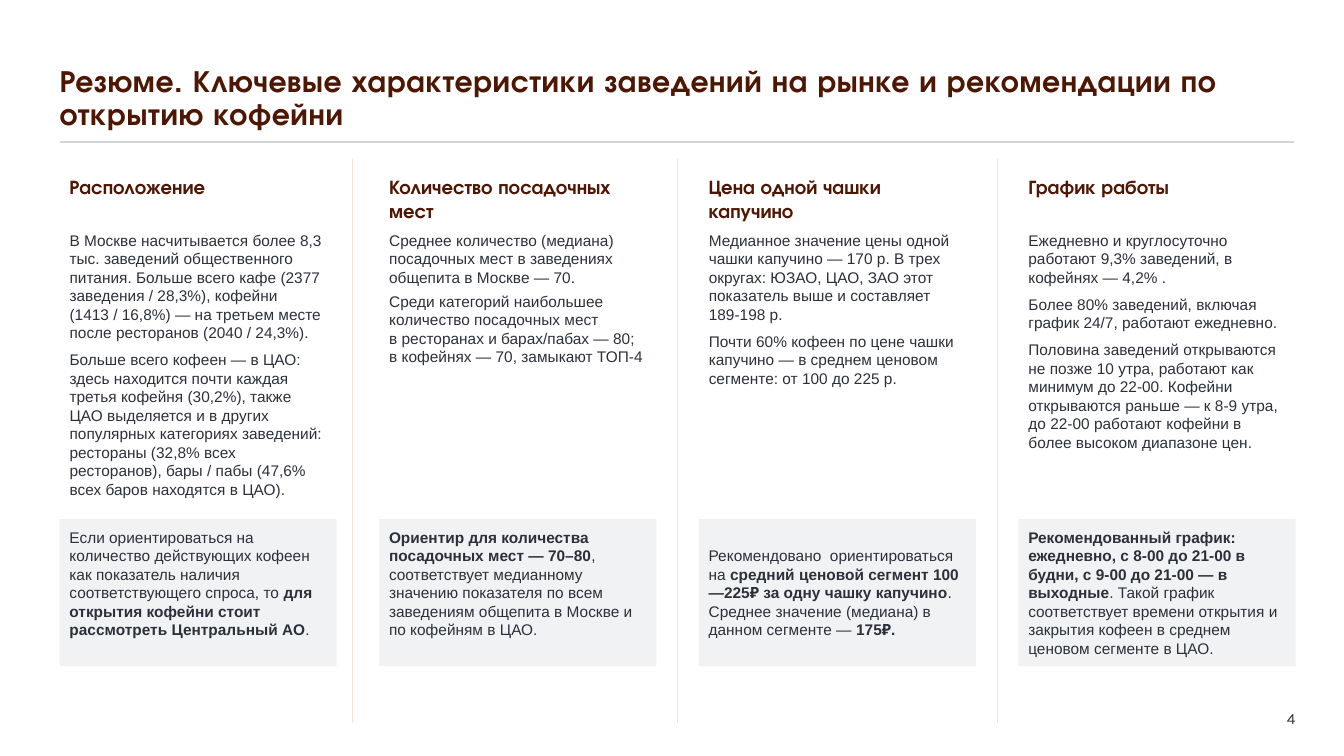
from dataclasses import dataclass

from lxml import etree
from pptx import Presentation
from pptx.dml.color import RGBColor as Rgb
from pptx.enum.shapes import MSO_CONNECTOR as Conn, MSO_SHAPE as Kind
from pptx.enum.text import MSO_ANCHOR as Anchor, MSO_AUTO_SIZE as Fit, PP_ALIGN as Align
from pptx.oxml.ns import qn
from pptx.util import Inches, Pt

BROWN, INK, GREY, RULE, PEACH = "4E1703", "2B303B", "F1F2F3", "D0D4DD", "FDE0D6"
HEAD, BODY, NUM = "TeX Gyre Adventor", "Arial", "Karla"
LEFT, STEP, WIDTH = 0.59, 3.17, 2.75


@dataclass
class Column:
    """Texts of one column; a tilde stands for a no-break space."""
    head: str
    facts: list[str]
    advice: list[tuple[str, bool]]  # text, bold
    gap: float = 6  # points after a fact
    foot: float = 0.05  # bottom inset of the card


COLUMNS = [
    Column(
        "Расположение",
        ["В Москве насчитывается более 8,3 тыс. заведений общественного питания. "
         "Больше всего кафе (2377 заведения / 28,3%), кофейни (1413 / 16,8%) — "
         "на~третьем месте после ресторанов (2040 / 24,3%).",
         "Больше всего кофеен — в ЦАО: здесь находится почти каждая третья кофейня "
         "(30,2%), также ЦАО выделяется и в других популярных категориях заведений: "
         "рестораны (32,8% всех ресторанов), бары / пабы (47,6% всех баров находятся "
         "в ЦАО)."],
        [("Если ориентироваться на количество действующих кофеен как показатель "
          "наличия соответствующего спроса, то ", False),
         ("для открытия кофейни стоит рассмотреть Центральный АО", True),
         (".", False)],
        foot=0.23,
    ),
    Column(
        "Количество посадочных мест",
        ["Среднее количество (медиана) посадочных мест в заведениях общепита "
         "в Москве — 70.",
         "Среди категорий наибольшее количество посадочных мест в~ресторанах "
         "и барах/пабах — 80; в~кофейнях — 70, замыкают ТОП-4"],
        [("Ориентир для количества посадочных мест — 70–80", True),
         (", соответствует медианному значению показателя по~всем заведениям "
          "общепита в Москве и по кофейням в ЦАО.", False)],
        gap=4,
        foot=0.23,
    ),
    Column(
        "Цена одной чашки капучино",
        ["Медианное значение цены одной чашки капучино — 170 р. В трех округах: "
         "ЮЗАО, ЦАО, ЗАО этот показатель выше и составляет 189-198 р.",
         "Почти 60% кофеен по цене чашки капучино — в среднем ценовом сегменте: "
         "от 100 до 225 р."],
        [("Рекомендовано ~ориентироваться на ", False),
         ("средний ценовой сегмент 100—225₽ за одну чашку капучино", True),
         (". Среднее значение (медиана) в данном сегменте — ", False),
         ("175₽.", True)],
    ),
    Column(
        "График работы",
        ["Ежедневно и круглосуточно работают 9,3% заведений, в кофейнях — 4,2% .",
         "Более 80% заведений, включая график 24/7, работают ежедневно.",
         "Половина заведений открываются не позже 10 утра, работают как минимум "
         "до 22-00. Кофейни открываются раньше — к 8-9 утра, до 22-00 работают "
         "кофейни в более высоком диапазоне цен."],
        [("Рекомендованный график: ежедневно, c 8-00 до 21-00 в будни, "
          "с 9-00 до 21-00 — в выходные", True),
         (". Такой график соответствует времени открытия и закрытия кофеен "
          "в~среднем ценовом сегменте в ЦАО.", False)],
    ),
]


def color(code: str) -> Rgb:
    return Rgb.from_string(code)


def glue(text: str) -> str:
    return text.replace("~", chr(160))


def place(shape, x: float, y: float, w: float, h: float) -> None:
    shape.left, shape.top = Inches(x), Inches(y)
    shape.width, shape.height = Inches(w), Inches(h)


def style(run, size: float, face: str, code: str, bold: bool = False) -> None:
    font = run.font
    font.size, font.name, font.bold = Pt(size), face, bold
    font.color.rgb = color(code)


def frame(shape, anchor=Anchor.TOP, side: float = 0.1, foot: float = 0.05):
    box = shape.text_frame
    box.word_wrap, box.auto_size = True, Fit.NONE
    box.vertical_anchor = anchor
    box.margin_left = box.margin_right = Inches(side)
    box.margin_top, box.margin_bottom = Inches(0.05), Inches(foot)
    return box


def line(slide, x1: float, y1: float, x2: float, y2: float, code: str, width: float) -> None:
    link = slide.shapes.add_connector(
        Conn.STRAIGHT, Inches(x1), Inches(y1), Inches(x2), Inches(y2))
    link.line.color.rgb, link.line.width = color(code), Pt(width)
    etree.SubElement(link._element.spPr, qn("a:effectLst"))


def label(slide, x: float, y: float, w: float, h: float, text: str):
    shape = slide.shapes.add_textbox(Inches(x), Inches(y), Inches(w), Inches(h))
    shape.text_frame.text = text
    return shape


def facts(shape, x: float, col: Column) -> None:
    place(shape, x, 2.24, WIDTH, 2.83)
    box = frame(shape)
    box.text = glue("\n".join(col.facts))
    for para in box.paragraphs:
        para.space_before, para.space_after = Pt(0), Pt(col.gap)
        props = para._p.get_or_add_pPr()
        props.set("marL", "0")
        props.set("indent", "0")
        etree.SubElement(props, qn("a:buNone"))
        style(para.runs[0], 11, BODY, INK)


def card(slide, x: float, col: Column) -> None:
    shape = slide.shapes.add_shape(
        Kind.RECTANGLE, Inches(x), Inches(5.15), Inches(WIDTH), Inches(1.46))
    shape.shadow.inherit = False
    shape.fill.solid()
    shape.fill.fore_color.rgb = color(GREY)
    shape.line.fill.background()
    para = frame(shape, Anchor.MIDDLE, foot=col.foot).paragraphs[0]
    para.alignment = Align.LEFT
    for text, bold in col.advice:
        run = para.add_run()
        run.text = glue(text)
        style(run, 11, BODY, INK, bold)


def main() -> None:
    deck = Presentation()
    deck.slide_width, deck.slide_height = Inches(13.33), Inches(7.5)
    # The comparison layout has a title and four bodies
    slide = deck.slides.add_slide(deck.slide_layouts[4])
    title, *bodies = slide.placeholders

    # Title and rule
    place(title, LEFT, 0.6, 12.26, 0.77)
    box = frame(title, Anchor.MIDDLE, side=0)
    box.text = ("Резюме. Ключевые характеристики заведений на рынке "
                "и рекомендации по открытию кофейни")
    para = box.paragraphs[0]
    para.alignment, para.line_spacing = Align.LEFT, 0.9
    style(para.runs[0], 22, HEAD, BROWN, True)
    para.runs[0].font._element.set("spc", "50")
    line(slide, 0.6, 1.41, 12.83, 1.41, RULE, 1.5)

    # Columns
    for i, (col, body) in enumerate(zip(COLUMNS, bodies)):
        x = LEFT + i * STEP
        head = label(slide, x, 1.69, WIDTH, 0.55, col.head)
        style(frame(head).paragraphs[0].runs[0], 14, HEAD, BROWN, True)
        facts(body, x, col)
        card(slide, x, col)

    # Dividers
    for x in (3.49, 6.72, 9.89):
        line(slide, x, 1.58, x, 7.17, PEACH, 0.5)

    # Page number
    page = label(slide, 12.28, 6.94, 0.57, 0.37, "4")
    para = frame(page, Anchor.MIDDLE, side=0).paragraphs[0]
    para.alignment = Align.RIGHT
    style(para.runs[0], 11, NUM, INK)

    deck.save("out.pptx")


if __name__ == "__main__":
    main()
